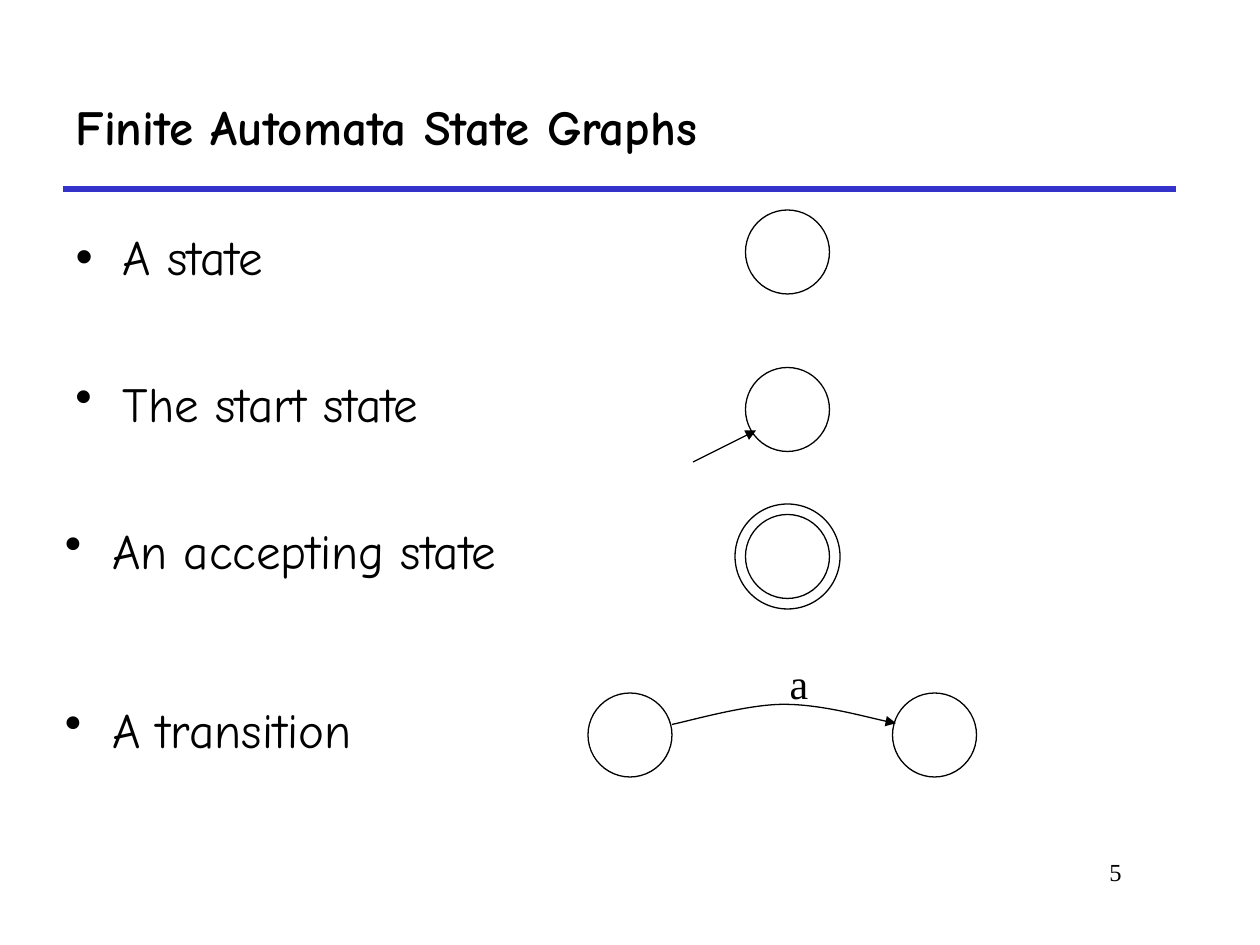
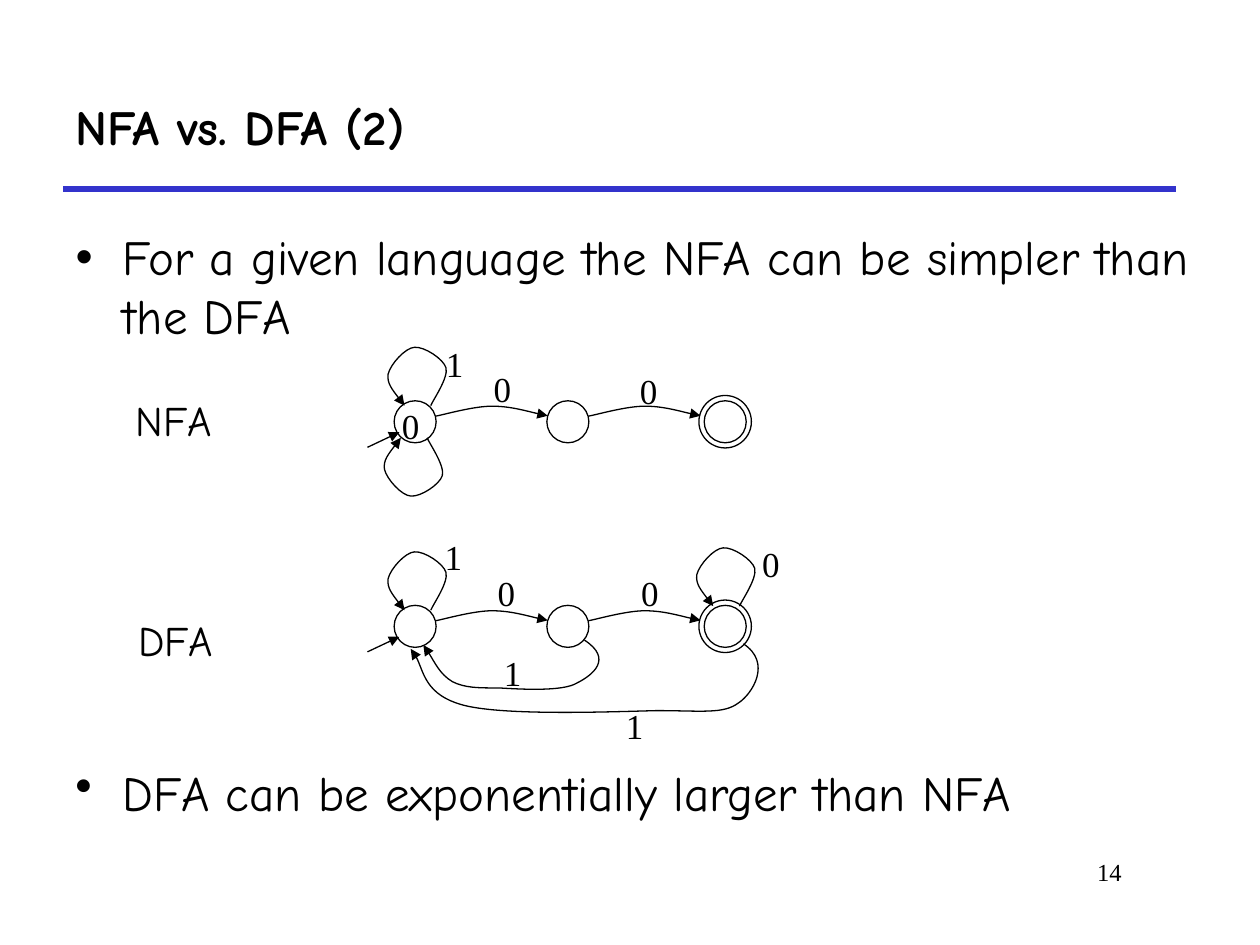
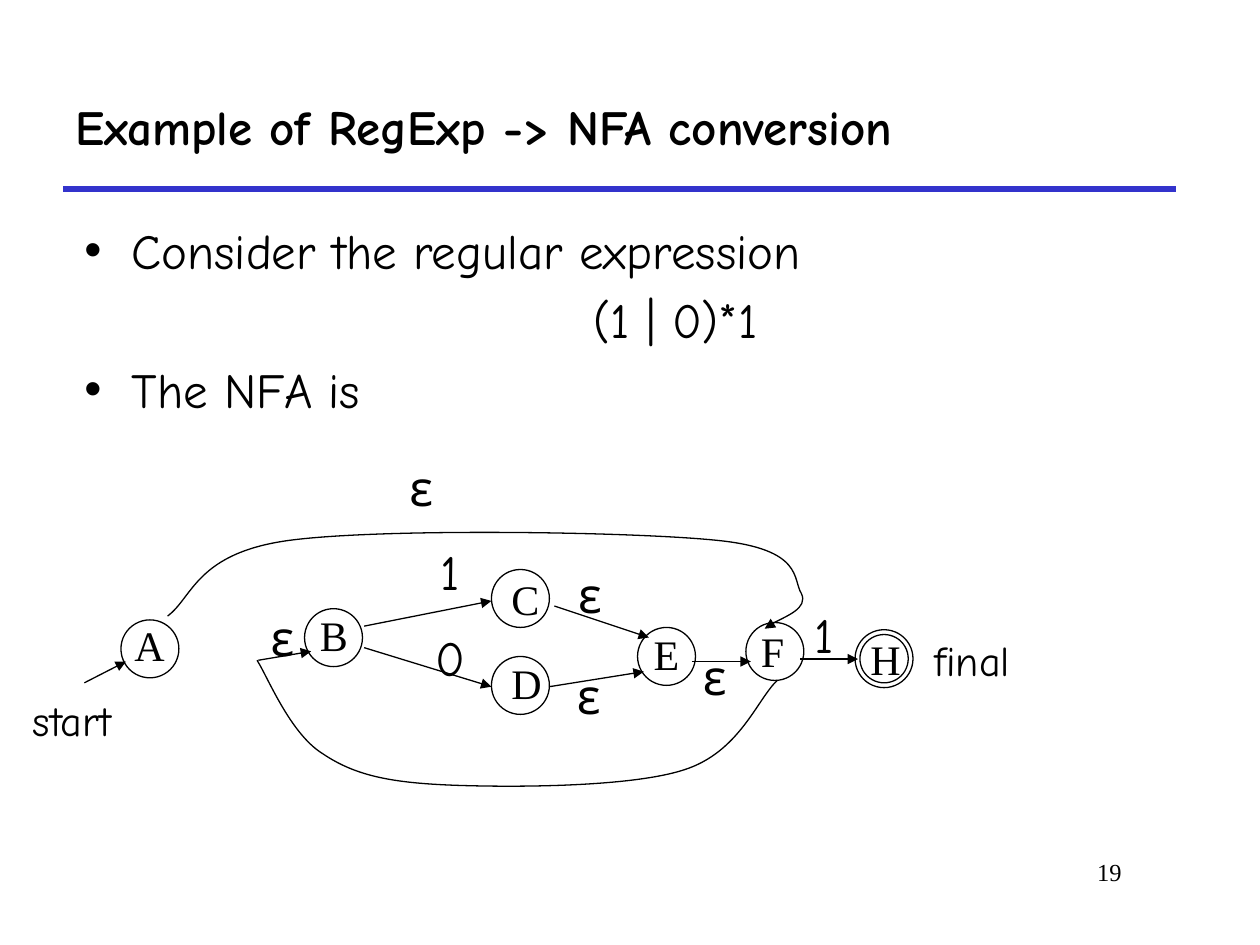
from pptx import Presentation
from pptx import util as u
from pptx.dml import color
from pptx.enum import shapes, text
from pptx.oxml import ns
from lxml import etree

Pt = u.Pt
HUES = {"ink": "000000", "rule": "3333CC"}
COMIC, TIMES = "Comic Neue", "Times New Roman"
LEFT, MID, RIGHT = text.PP_ALIGN.LEFT, text.PP_ALIGN.CENTER, text.PP_ALIGN.RIGHT


def hue(name):
    return color.RGBColor.from_string(HUES[name])


def apply(item, values):
    for key, value in values.items():
        setattr(item, key, value)


def sub(parent, tag, **attrs):
    return etree.SubElement(parent, ns.qn(tag), attrs)


class Deck:
    """Holds the shared style and the slide being drawn."""

    def __init__(self):
        self.prs = Presentation()
        apply(self.prs, {"slide_width": Pt(720), "slide_height": Pt(540)})
        self.slide = None

    def start(self, title, number):
        """Begin a slide with its title, rule and page number."""
        self.slide = self.prs.slides.add_slide(self.prs.slide_layouts[1])
        self.line(36, 108, 672, 108, tone="rule", width=3, tip=False)
        head = self.slide.shapes.title
        self.place(head, 36, 36, 636, 72)
        apply(head.text_frame, {"vertical_anchor": text.MSO_ANCHOR.MIDDLE, "word_wrap": True})
        self.words(head.text_frame.paragraphs[0], title, 28, COMIC, bold=True)
        page = self.slide.shapes.add_textbox(Pt(546), Pt(486), Pt(102), Pt(36))
        page.text_frame.word_wrap = True
        self.words(page.text_frame.paragraphs[0], str(number), 14, TIMES, RIGHT)

    def place(self, item, x, y, w, h):
        apply(item, {"left": Pt(x), "top": Pt(y), "width": Pt(w), "height": Pt(h)})

    def words(self, para, content, size, face, align=LEFT, bold=False):
        para.alignment = align
        run = para.add_run()
        run.text = content
        apply(run.font, {"size": Pt(size), "name": face, "bold": bold})
        run.font.color.rgb = hue("ink")

    def fill_list(self, box, items):
        """Set (content, level) items; level 1 is centred without a bullet."""
        frame = box.text_frame
        apply(frame, {"word_wrap": True, "auto_size": text.MSO_AUTO_SIZE.NONE,
                      "vertical_anchor": text.MSO_ANCHOR.TOP})
        for i, (content, level) in enumerate(items):
            para = frame.add_paragraph() if i else frame.paragraphs[0]
            apply(para, {"level": level, "space_before": Pt(6 if i else 0)})
            props = para._p.get_or_add_pPr()
            edge, hang = (58.5, 22.5) if level else (27, 27)
            props.set("marL", str(Pt(edge)))
            props.set("indent", str(-Pt(hang)))
            if level:
                sub(props, "a:buNone")
            else:
                sub(props, "a:buChar", char="•")
            self.words(para, content, 28, COMIC, MID if level else LEFT)

    def body(self, items, x, y, h):
        box = self.slide.placeholders[1]
        self.place(box, x, y, 654, h)
        self.fill_list(box, items)

    def bullet(self, content, x, y, h=42):
        box = self.slide.shapes.add_textbox(Pt(x), Pt(y), Pt(654), Pt(h))
        self.fill_list(box, [(content, 0)])

    def label(self, content, x, y, w, size=20, face=TIMES):
        box = self.slide.shapes.add_textbox(Pt(x), Pt(y), Pt(w), Pt(1.2 * size + 7.2))
        apply(box.text_frame, {"word_wrap": False, "auto_size": text.MSO_AUTO_SIZE.SHAPE_TO_FIT_TEXT})
        self.words(box.text_frame.paragraphs[0], content, size, face)

    def stroke(self, item, tone="ink", width=0.75, tip=False):
        item.line.color.rgb = hue(tone)
        item.line.width = Pt(width)
        if tip:
            sub(item._element.spPr.find(ns.qn("a:ln")), "a:tailEnd", type="triangle")

    def line(self, x1, y1, x2, y2, tone="ink", width=0.75, tip=True):
        link = self.slide.shapes.add_connector(
            shapes.MSO_CONNECTOR.STRAIGHT, Pt(x1), Pt(y1), Pt(x2), Pt(y2))
        self.stroke(link, tone, width, tip)
        sub(link._element.spPr, "a:effectLst")

    def state(self, cx, cy, *sizes):
        """Draw one circle for each diameter around a centre."""
        for d in sizes:
            ring = self.slide.shapes.add_shape(
                shapes.MSO_SHAPE.OVAL, Pt(cx - d / 2), Pt(cy - d / 2), Pt(d), Pt(d))
            ring.shadow.inherit = False
            ring.fill.background()
            self.stroke(ring)

    def curve(self, points, dx=0, dy=0, flip=1, tip=True):
        """Draw a Bezier path: a start, then three points a section."""
        spots = [(Pt(x + dx), Pt(y * flip + dy)) for x, y in points]
        pen = self.slide.shapes.build_freeform(*spots[0])
        pen.add_line_segments(spots[1:], close=False)
        item = pen.convert_to_shape()
        route = next(item._element.iter(ns.qn("a:path")))
        legs = route.findall(ns.qn("a:lnTo"))
        for i in range(0, len(legs), 3):
            bend = sub(route, "a:cubicBezTo")
            for leg in legs[i:i + 3]:
                bend.append(leg[0])
                route.remove(leg)
        item.shadow.inherit = False
        item.fill.background()
        self.stroke(item, tip=tip)


# Curves relative to a state
ARC = [(0, 0), (5, -0.9), (21.5, -5.7), (32.2, -5.7), (42.6, -5.7), (57.5, -1.4), (64, -0.2)]
LOOP = [(9, -9.2), (10.5, -12.8), (19.1, -25), (17.7, -30.8), (16.2, -35.8), (5.4, -43),
        (-0.3, -42.5), (-5.4, -42.3), (-14, -33), (-15.4, -27.2), (-16.2, -22), (-11, -15.6), (-6, -9.2)]

# Paths back to the first state of the DFA
BACK = [
    [(334, 365.8), (350.6, 376.6), (338.4, 385.9), (329.8, 390.2), (321.8, 395.3), (297.4, 393.8),
     (285.1, 393.1), (272.9, 393.1), (265.7, 393.1), (258.5, 389.5), (251.3, 385.2), (245.5, 373),
     (241.9, 368.6)],
    [(424.8, 367.9), (441.4, 378.7), (429.8, 396.7), (421.9, 401.8), (413.3, 408.2), (401, 406.1),
     (375.1, 406.1), (348.5, 406.8), (289.4, 409), (265.7, 403.2), (242.6, 397.4), (241.2, 377.3),
     (234.7, 370.8)],
]

# Long empty moves of the converted NFA
SKIP = [(95.8, 352.1), (110.2, 341.3), (112.3, 316.1), (164.9, 308.9), (217.4, 301.7), (362.2, 303.8),
        (410.4, 308.9), (459.4, 313.9), (452.9, 331.2), (457.9, 339.1), (462.2, 347.8), (440.6, 355.7),
        (437, 359.3)]
AGAIN = [(146.9, 377.3), (152.6, 385.9), (165.6, 419), (184.3, 430.6), (202.3, 442.8), (221.8, 447.1),
         (256.3, 448.6), (290.9, 450), (360, 450), (391, 439.9), (422.6, 429.8), (432.7, 399.6),
         (444.2, 388.8)]


def graphs(deck):
    deck.start("Finite Automata State Graphs", 5)
    deck.body([("A state", 0)], 36, 126, 42)
    for content, x, y in [("The start state", 36, 210), ("An accepting state", 30, 294),
                          ("A transition", 30, 396)]:
        deck.bullet(content, x, y)
    for cx, cy, *sizes in [(450, 144, 48), (450, 234, 48), (450, 318, 48, 60),
                           (360, 420, 48), (534, 420, 48)]:
        deck.state(cx, cy, *sizes)
    deck.line(396, 264, 432, 246)
    deck.curve([(384, 414), (394.6, 411.8), (427, 402.5), (447.8, 402.5),
                (469.4, 402.5), (499, 411), (512, 413.3)])
    deck.label("a", 444.2, 372.2, 25, 24)


def chain(deck, cy):
    """Three states in a row, with what both machines share."""
    first, second, last = 237.2, 324.5, 414.4
    deck.state(first, cy, 24)
    deck.state(second, cy, 24)
    deck.state(last, cy, 24, 30)
    deck.line(210, cy + 14.6, 228.2, cy + 6)
    for cx in (first, second):
        deck.curve(ARC, cx + 11.8, cy - 3.2)
    deck.curve(LOOP, first, cy)


def versus(deck):
    deck.start("NFA vs. DFA (2)", 14)
    deck.body([("For a given language the NFA can be simpler than the DFA", 0)], 36, 126, 72)
    nfa, dfa = 241, 357.9
    for cy in (nfa, dfa):
        chain(deck, cy)
    deck.curve(LOOP, 235.1, nfa, flip=-1)
    deck.curve(LOOP, 413.6, dfa - 2.3)
    for points in BACK:
        deck.curve(points)
    for sign, x, y in [("0", 275, 206.6), ("1", 247.7, 192.2), ("0", 358.6, 207.4), ("0", 222.5, 227.5),
                       ("0", 277.2, 323.3), ("1", 247, 302.4), ("0", 359.3, 323.3),
                       ("1", 280.8, 368.6), ("0", 428.4, 306.7), ("1", 350.6, 398.9)]:
        deck.label(sign, x, y, 24.4)
    deck.label("NFA", 70.6, 221.8, 65.5, 24, COMIC)
    deck.label("DFA", 72, 347.8, 64, 24, COMIC)
    deck.bullet("DFA can be exponentially larger than NFA", 36, 432, 48)


def convert(deck):
    deck.start("Example of RegExp -> NFA conversion", 19)
    deck.body([("Consider the regular expression", 0), ("(1 | 0)*1", 1), ("The NFA is", 0)],
              41, 122.4, 348)
    # States: name, centre, corner of the letter
    for name, cx, cy, x, y in [
            ("A", 85.7, 370.8, 69.8, 350.6), ("B", 190.6, 364.4, 175.7, 344.9),
            ("C", 297.4, 342, 285.1, 324), ("D", 297.4, 391.7, 285.1, 372.2),
            ("E", 380.9, 375.1, 366.5, 355.7), ("F", 442.8, 372.3, 427.7, 354.2),
            ("H", 505.2, 376.4, 490.3, 358.6)]:
        deck.state(cx, cy, *((33.1, 27.6) if name == "H" else (33.1,)))
        deck.label(name, x, y, 31, 24)
    # Moves
    for ends in [(48.2, 390.2, 72, 378), (147.6, 377.3, 177.8, 372.2), (208.1, 357.8, 280.8, 343.4),
                 (208.1, 370.1, 280.8, 392.4), (316.8, 346.3, 370.8, 364.3),
                 (313.9, 392.4, 367.9, 383.8), (395.3, 378, 429.1, 378), (457.2, 376.6, 490.3, 376.6)]:
        deck.line(*ends)
    deck.curve(SKIP)
    deck.curve(AGAIN, tip=False)
    for sign, x, y, w in [("1", 458.6, 342, 27.4), ("1", 244.8, 306, 27.4), ("0", 241.9, 355, 31.7),
                          ("ε", 322.6, 376.6, 26.6), ("ε", 323.3, 319, 26.6), ("ε", 226.8, 257.8, 26.6),
                          ("ε", 147.6, 343.4, 26.6), ("ε", 394.6, 365.8, 26.6)]:
        deck.label(sign, x, y, w, 28, COMIC)
    deck.label("start", 11.5, 393.1, 72.7, 24, COMIC)
    deck.label("final", 527, 359.3, 65.5, 24, COMIC)


def main():
    deck = Deck()
    for draw in (graphs, versus, convert):
        draw(deck)
    deck.prs.save("out.pptx")


if __name__ == "__main__":
    main()
